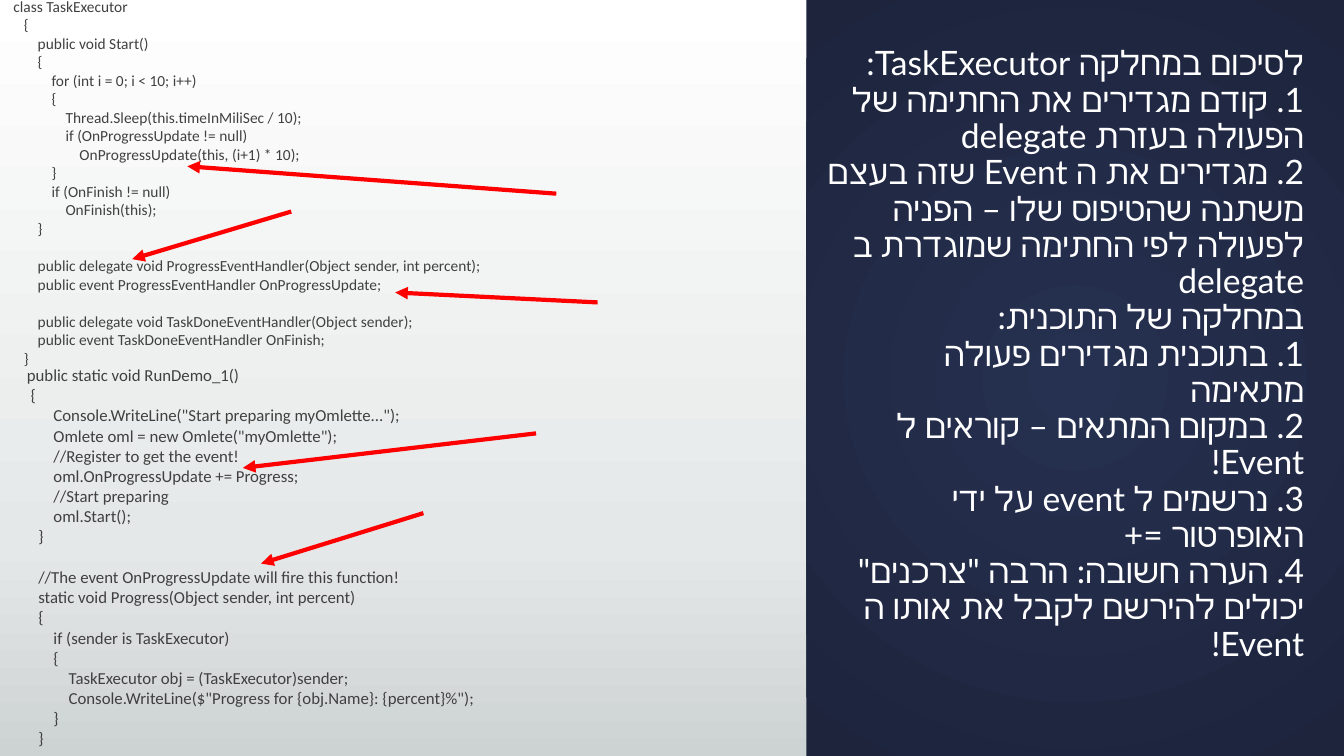
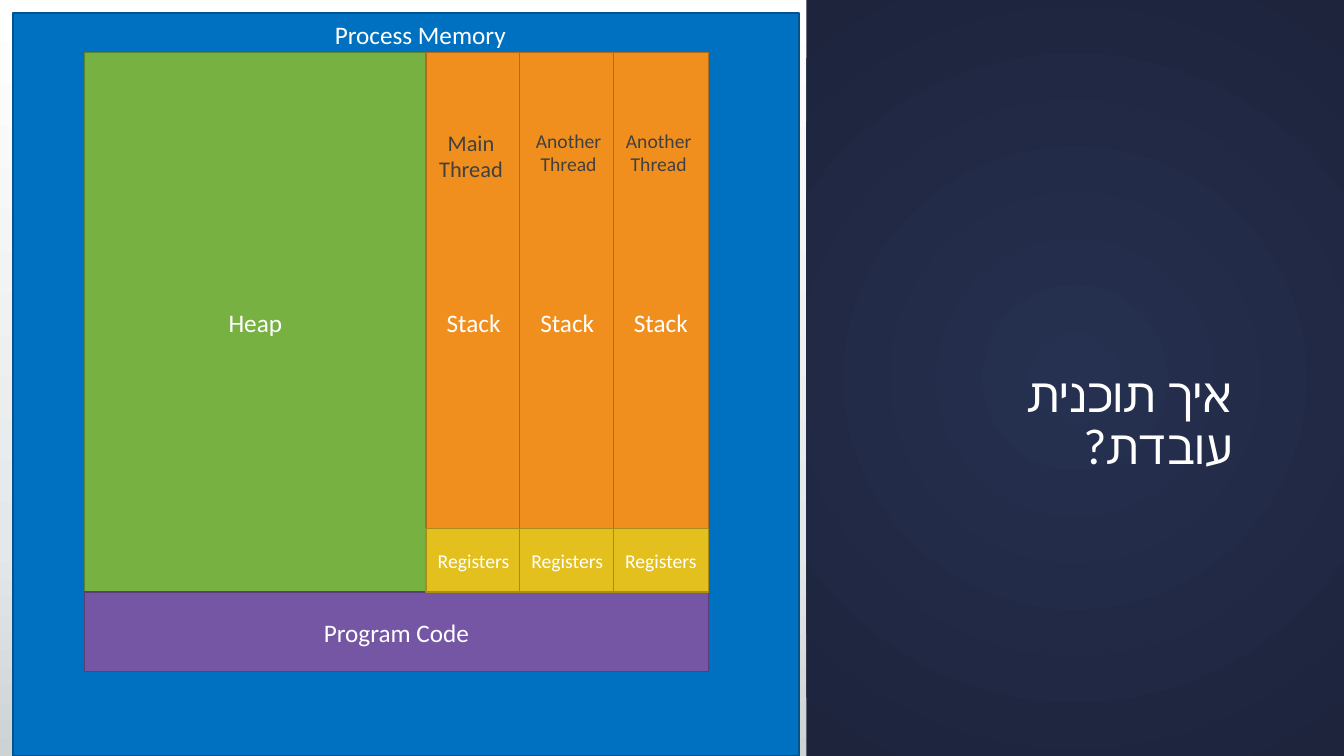
from dataclasses import dataclass

from lxml.etree import SubElement
from pptx import Presentation
from pptx.dml.color import RGBColor
from pptx.enum.shapes import MSO_CONNECTOR as Connector, MSO_SHAPE as Preset
from pptx.enum.text import MSO_ANCHOR as Anchor, MSO_AUTO_SIZE as AutoSize, PP_ALIGN as Align
from pptx.oxml import parse_xml
from pptx.oxml.ns import nsdecls, qn
from pptx.util import Cm, Pt

SLIDE_WIDTH, SLIDE_HEIGHT = 33.87, 19.05
PANEL_LEFT = 20.32
WHITE, DARK, RED = "FFFFFF", "404040", "FF0000"
BODY_FONT, TITLE_FONT = "Calibri", "Lato"
SPACE_WIDTH, LINE_HEIGHT = 0.226, 1.22
LINEAR_DOWN = '<a:lin ang="5400000" scaled="0"/>'
FROM_CENTRE = (
    '<a:path path="circle">'
    '<a:fillToRect l="50000" t="50000" r="50000" b="50000"/></a:path>'
)

SUMMARY_TITLE = """\
לסיכום במחלקה TaskExecutor:
1. קודם מגדירים את החתימה של הפעולה בעזרת delegate
2. מגדירים את ה Event שזה בעצם משתנה שהטיפוס שלו – הפניה לפעולה לפי החתימה שמוגדרת ב delegate
במחלקה של התוכנית:
1. בתוכנית מגדירים פעולה מתאימה
2. במקום המתאים – קוראים ל Event!
3. נרשמים ל event על ידי האופרטור =+
4. הערה חשובה: הרבה "צרכנים" יכולים להירשם לקבל את אותו ה Event!"""

EXECUTOR_CODE = """\
 class TaskExecutor
    {
        public void Start()
        {
            for (int i = 0; i < 10; i++)
            {
                Thread.Sleep(this.timeInMiliSec / 10);
                if (OnProgressUpdate != null)
                    OnProgressUpdate(this, (i+1) * 10);
            }
            if (OnFinish != null)
                OnFinish(this);
        }

        public delegate void ProgressEventHandler(Object sender, int percent);
        public event ProgressEventHandler OnProgressUpdate;

        public delegate void TaskDoneEventHandler(Object sender);
        public event TaskDoneEventHandler OnFinish;
    }"""

DEMO_CODE = """\
     public static void RunDemo_1()
      {
            Console.WriteLine("Start preparing myOmlette...");
            Omlete oml = new Omlete("myOmlette");
            //Register to get the event!
            oml.OnProgressUpdate += Progress;
            //Start preparing
            oml.Start();
        }

        //The event OnProgressUpdate will fire this function!
        static void Progress(Object sender, int percent)
        {
            if (sender is TaskExecutor)
            {
                TaskExecutor obj = (TaskExecutor)sender;
                Console.WriteLine($"Progress for {obj.Name}: {percent}%");
            }
        }"""


@dataclass(frozen=True)
class Box:
    left: float
    top: float
    width: float
    height: float

    def lengths(self) -> tuple:
        return Cm(self.left), Cm(self.top), Cm(self.width), Cm(self.height)


@dataclass(frozen=True)
class Arrow:
    start: tuple[float, float]
    end: tuple[float, float]


@dataclass(frozen=True)
class Block:
    fill: str
    line: str
    size: int = 18


@dataclass(frozen=True)
class Thread:
    label: str
    size: int
    label_left: float


ARROWS = (
    Arrow((7.34, 5.33), (3.33, 6.53)),
    Arrow((15.06, 7.62), (9.96, 7.37)),
    Arrow((10.67, 12.93), (6.58, 14.2)),
    Arrow((13.51, 10.92), (6.12, 11.79)),
    Arrow((14.02, 4.88), (4.72, 4.19)),
)
PROCESS = Block("0070C0", "00538E")
HEAP = Block("77B142", "588331")
CODE = Block("7556A4", "574079")
STACK = Block("F08F1E", "B26A16")
REGISTERS = Block("E3C01E", "A88E16", 14)
THREADS = (
    Thread("Main Thread", 16, 10.74),
    Thread("Another Thread", 14, 13.2),
    Thread("Another Thread", 14, 15.47),
)


def colour(value: str) -> RGBColor:
    return RGBColor.from_string(value)


def set_gradient(fill, properties, stops: dict[int, str], direction: str) -> None:
    fill.solid()
    entries = "".join(
        f'<a:gs pos="{position * 1000}"><a:srgbClr val="{value}"/></a:gs>'
        for position, value in stops.items()
    )
    gradient = parse_xml(
        f'<a:gradFill {nsdecls("a")} rotWithShape="1"><a:gsLst>{entries}</a:gsLst>'
        f"{direction}</a:gradFill>"
    )
    properties.replace(properties.find(qn("a:solidFill")), gradient)


def write_text(
    frame,
    text: str,
    *,
    size: float,
    color: str = DARK,
    font: str = BODY_FONT,
    align: Align = Align.LEFT,
    rtl: bool = False,
    spacing: float = 1.0,
    anchor: Anchor = Anchor.TOP,
) -> None:
    frame.word_wrap = True
    frame.auto_size = AutoSize.NONE
    frame.vertical_anchor = anchor
    paragraph, gap = None, 0.0
    for line in text.splitlines():
        content = line.lstrip()
        if not content:
            gap += size * LINE_HEIGHT
            continue
        paragraph = frame.add_paragraph() if paragraph else frame.paragraphs[0]
        paragraph.alignment = align
        paragraph.line_spacing = spacing
        paragraph.space_before = Pt(gap)
        gap = 0.0
        properties = paragraph._p.get_or_add_pPr()
        indent = (len(line) - len(content)) * SPACE_WIDTH * size
        properties.set("marL", str(int(Pt(indent))))
        properties.set("indent", "0")
        properties.set("rtl", str(int(rtl)))
        run = paragraph.add_run()
        run.text = content
        run.font.size = Pt(size)
        run.font.name = font
        run.font.color.rgb = colour(color)
        SubElement(run._r.get_or_add_rPr(), qn("a:cs")).set("typeface", font)


def add_text(slide, box: Box, text: str, **text_format) -> None:
    shape = slide.shapes.add_textbox(*box.lengths())
    write_text(shape.text_frame, text, **text_format)


def add_block(slide, box: Box, block: Block, text: str = "") -> None:
    shape = slide.shapes.add_shape(Preset.RECTANGLE, *box.lengths())
    shape.shadow.inherit = False
    shape.fill.solid()
    shape.fill.fore_color.rgb = colour(block.fill)
    shape.line.color.rgb = colour(block.line)
    shape.line.width = Pt(1)
    write_text(shape.text_frame, text, size=block.size, color=WHITE,
               align=Align.CENTER, rtl=True, anchor=Anchor.MIDDLE)


def add_arrow(slide, arrow: Arrow) -> None:
    points = (Cm(value) for value in (*arrow.start, *arrow.end))
    connector = slide.shapes.add_connector(Connector.STRAIGHT, *points)
    connector.line.color.rgb = colour(RED)
    connector.line.width = Pt(3)
    SubElement(connector.line._get_or_add_ln(), qn("a:tailEnd")).set("type", "triangle")
    SubElement(connector._element.spPr, qn("a:effectLst"))


def add_slide(presentation, title: str, box: Box, size: int, bottom_inset: float = 0.13):
    slide = presentation.slides.add_slide(presentation.slide_layouts[5])
    panel = slide.shapes.add_shape(
        Preset.RECTANGLE,
        *Box(PANEL_LEFT, 0, SLIDE_WIDTH - PANEL_LEFT, SLIDE_HEIGHT).lengths(),
    )
    panel.shadow.inherit = False
    panel.line.fill.background()
    set_gradient(panel.fill, panel._element.spPr, {0: "263050", 100: "1D243C"}, FROM_CENTRE)
    slide.shapes._spTree.insert(2, panel._element)
    heading = slide.shapes.title
    heading.left, heading.top, heading.width, heading.height = box.lengths()
    heading.text_frame.margin_bottom = Cm(bottom_inset)
    write_text(heading.text_frame, title, size=size, color=WHITE, font=TITLE_FONT,
               align=Align.RIGHT, rtl=True, spacing=0.9, anchor=Anchor.BOTTOM)
    return slide


def build_summary(presentation) -> None:
    slide = add_slide(presentation, SUMMARY_TITLE, Box(20.52, 0.13, 12.6, 18.59), 24, 2.0)
    add_text(slide, Box(0, -0.2, 13.23, 9.65), EXECUTOR_CODE, size=11)
    add_text(slide, Box(-0.05, 9.07, 16.94, 10.01), DEMO_CODE, size=12)
    for arrow in ARROWS:
        add_arrow(slide, arrow)


def build_memory(presentation) -> None:
    slide = add_slide(presentation, "איך תוכנית עובדת?", Box(22.43, 6.55, 8.89, 5.54), 34)
    left, top, heap_width, height = 2.13, 1.32, 8.61, 13.6
    column_width, column_step, registers_height = 2.39, 2.36, 1.6
    bottom = top + height
    add_block(slide, Box(0.33, 0.33, 19.81, 18.72), PROCESS)
    add_text(slide, Box(7.59, 0.36, 5.41, 1.02), "Process Memory",
             size=18, color=WHITE, align=Align.RIGHT, rtl=True)
    add_block(slide, Box(left, top, heap_width, height), HEAP, "Heap")
    add_block(slide, Box(left, bottom, 15.72, 2.01), CODE, "Program Code")
    for index, thread in enumerate(THREADS):
        column = left + heap_width + index * column_step
        add_block(slide, Box(column, top, column_width, height), STACK, "Stack")
        add_block(slide, Box(column, bottom - registers_height, column_width, registers_height),
                  REGISTERS, "Registers")
        add_text(slide, Box(thread.label_left, 3.12, 2.26, 1.6), thread.label,
                 size=thread.size, align=Align.CENTER, rtl=True)


def main() -> None:
    presentation = Presentation()
    presentation.slide_width = Cm(SLIDE_WIDTH)
    presentation.slide_height = Cm(SLIDE_HEIGHT)
    fill = presentation.slide_master.background.fill
    properties = presentation.slide_master._element.cSld.bg.bgPr
    set_gradient(fill, properties, {0: WHITE, 72: "E5E8E8", 100: "CDD2D2"}, LINEAR_DOWN)
    build_summary(presentation)
    build_memory(presentation)
    presentation.save("out.pptx")


if __name__ == "__main__":
    main()
